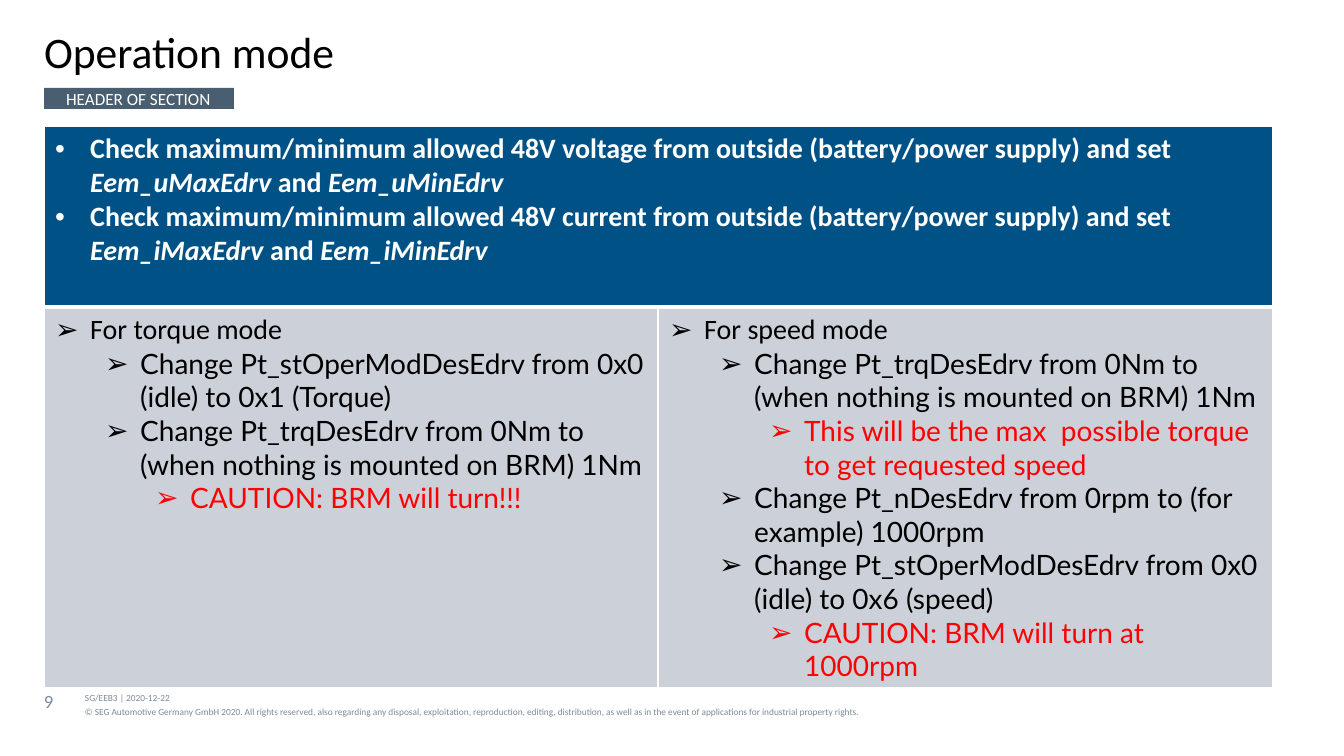
from lxml import etree
from pptx import Presentation
from pptx.dml.color import RGBColor
from pptx.enum.shapes import MSO_SHAPE
from pptx.enum.text import MSO_ANCHOR, MSO_AUTO_SIZE, PP_ALIGN
from pptx.oxml.ns import qn
from pptx.util import Pt

RECTANGLE = MSO_SHAPE.RECTANGLE
TOP, MIDDLE = MSO_ANCHOR.TOP, MSO_ANCHOR.MIDDLE
NO_AUTOFIT = MSO_AUTO_SIZE.NONE
LEFT = PP_ALIGN.LEFT
PX = 914400 // 112
WHITE, BLACK, RED = "FFFFFF", "000000", "FF0000"
NAVY, SLATE, GREY, PALE = "005286", "495E70", "7C8B9C", "CCD1D9"


def color(value):
    return RGBColor.from_string(value)


def style(paragraph, size, ink, face="Calibri", bold=False):
    font = paragraph.font
    font.name, font.size, font.bold = face, Pt(size), bold
    font.color.rgb = color(ink)


prs = Presentation()
prs.slide_width, prs.slide_height = 1344 * PX, 756 * PX
slide = prs.slides.add_slide(prs.slide_layouts[5])

title = slide.shapes.title
title.left, title.top, title.width, title.height = 44 * PX, 31 * PX, 1256 * PX, 47 * PX
frame = title.text_frame
frame.margin_left = frame.margin_right = frame.margin_top = frame.margin_bottom = 0
frame.auto_size, frame.vertical_anchor = NO_AUTOFIT, MIDDLE
frame.text = "Operation mode"
heading = frame.paragraphs[0]
heading.alignment, heading.line_spacing = LEFT, 0.89
style(heading, 28, BLACK)

section = slide.shapes.add_shape(RECTANGLE, 44 * PX, 88 * PX, 190 * PX, 21 * PX)
section.shadow.inherit = False
section.fill.solid()
section.fill.fore_color.rgb = color(SLATE)
section.line.fill.background()
frame = section.text_frame
frame.margin_left = frame.margin_right = 22 * PX
frame.margin_top = frame.margin_bottom = 0
frame.word_wrap, frame.vertical_anchor = False, MIDDLE
frame.text = "HEADER OF SECTION"
style(frame.paragraphs[0], 11, WHITE)

footers = [
    (85, 691, 1065, 13, 6, "SG/EEB3 | 2020-12-22"),
    (85, 705, 1065, 27, 6,
     "© SEG Automotive Germany GmbH 2020. All rights reserved, also regarding any disposal, "
     "exploitation, reproduction, editing, distribution, as well as in the event of "
     "applications for industrial property rights."),
    (44, 690, 36, 50, 12, "9"),
]
for x, y, width, height, size, words in footers:
    footer = slide.shapes.add_textbox(x * PX, y * PX, width * PX, height * PX)
    frame = footer.text_frame
    frame.margin_left = frame.margin_right = frame.margin_top = frame.margin_bottom = 0
    frame.word_wrap, frame.vertical_anchor = True, TOP
    frame.text = words
    if size == 6:
        frame.paragraphs[0].line_spacing = 1.07
    style(frame.paragraphs[0], size, GREY)

modes = slide.shapes.add_table(2, 2, 44 * PX, 126 * PX, 1229 * PX, 562 * PX).table
modes.columns[0].width, modes.columns[1].width = 614 * PX, 615 * PX
modes.rows[0].height, modes.rows[1].height = 181 * PX, 381 * PX
for row, (fill, top_width, bottom_width) in enumerate([(NAVY, 1, 3), (PALE, 3, 1)]):
    for cell in modes.rows[row].cells:
        properties = cell._tc.get_or_add_tcPr()
        edges = {"lnL": 1, "lnR": 1, "lnT": top_width, "lnB": bottom_width}
        for edge, points in edges.items():
            border = etree.SubElement(properties, qn(f"a:{edge}"), w=str(Pt(points)))
            paint = etree.SubElement(border, qn("a:solidFill"))
            etree.SubElement(paint, qn("a:srgbClr"), val=WHITE)
        cell.fill.solid()
        cell.fill.fore_color.rgb = color(fill)
modes.cell(0, 0).merge(modes.cell(0, 1))

checks = [
    (0, [f"Check maximum/minimum allowed 48V {quantity} from outside (battery/power supply) and set ",
         f"Eem_{letter}MaxEdrv", " and ", f"Eem_{letter}MinEdrv"], WHITE)
    for quantity, letter in [("voltage", "u"), ("current", "i")]
]
set_torque = (1, ["Change Pt_trqDesEdrv from 0Nm to (when nothing is mounted on BRM) 1Nm"], BLACK)
torque_mode = [
    (0, ["For torque mode"], BLACK),
    (1, ["Change Pt_stOperModDesEdrv from 0x0 (idle) to 0x1 (Torque)"], BLACK),
    set_torque,
    (2, ["CAUTION: BRM will turn!!!"], RED),
]
speed_mode = [
    (0, ["For speed mode"], BLACK),
    set_torque,
    (2, ["This will be the max  possible torque to get requested speed"], RED),
    (1, ["Change Pt_nDesEdrv from 0rpm to (for example) 1000rpm"], BLACK),
    (1, ["Change Pt_stOperModDesEdrv from 0x0 (idle) to 0x6 (speed)"], BLACK),
    (2, ["CAUTION: BRM will turn at 1000rpm"], RED),
]
contents = [(0, 0, "•", checks), (1, 0, "➢", torque_mode), (1, 1, "➢", speed_mode)]
for row, column, bullet, steps in contents:
    frame = modes.cell(row, column).text_frame
    for index, (level, pieces, ink) in enumerate(steps):
        step = frame.add_paragraph() if index else frame.paragraphs[0]
        step.level = level
        layout = step._p.get_or_add_pPr()
        layout.set("marL", str((35 + 50 * level) * PX))
        layout.set("indent", str(-35 * PX))
        etree.SubElement(layout, qn("a:buFont"), typeface="Arial")
        etree.SubElement(layout, qn("a:buChar"), char=bullet)
        style(step, 18, ink, "Lato" if level else "Calibri", row == 0)
        for position, piece in enumerate(pieces):
            run = step.add_run()
            run.text = piece
            if position % 2:
                run.font.italic = True

prs.save("out.pptx")
